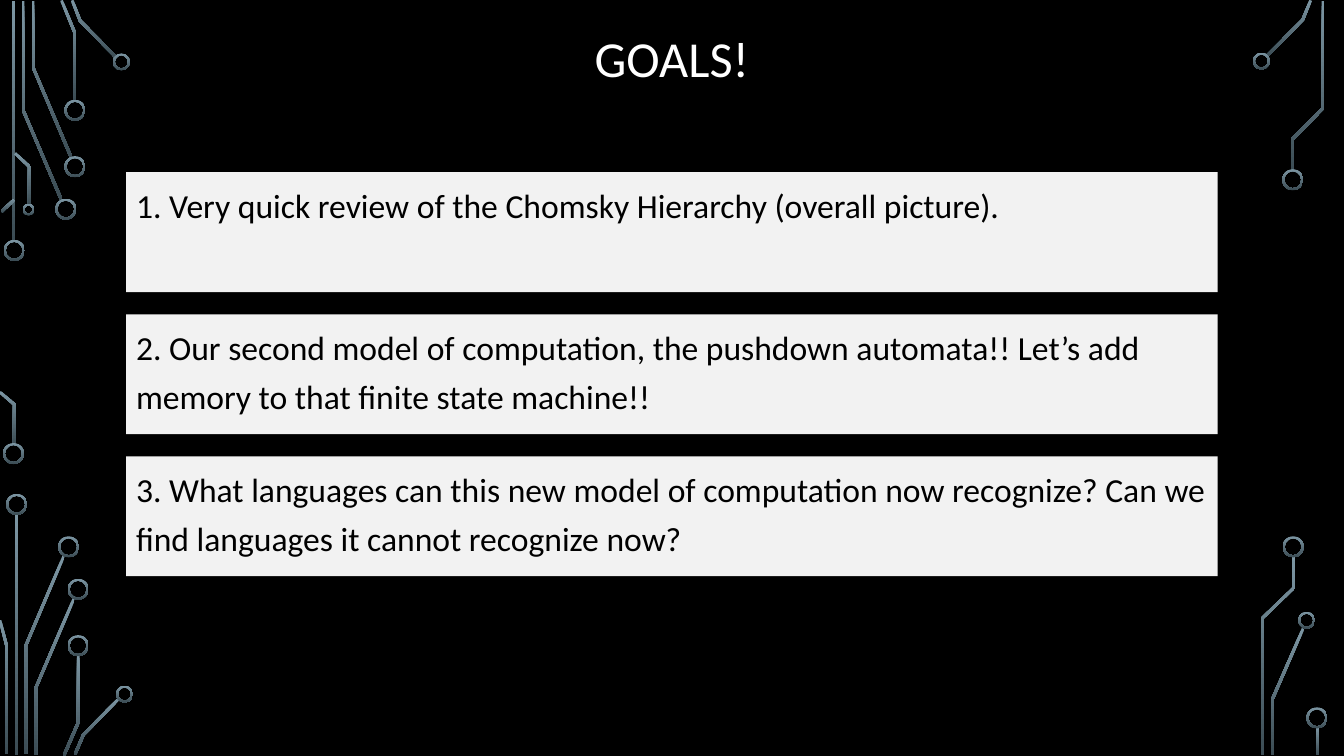
from math import hypot
from typing import NamedTuple

from pptx import Presentation
from pptx.dml.color import RGBColor
from pptx.enum.shapes import MSO_SHAPE
from pptx.enum.text import MSO_ANCHOR, PP_ALIGN
from pptx.util import Cm, Pt

WIDE, TALL = 33.87, 19.05
LINE = 0.07  # width of a trace
RIM = 0.05  # width of a ring's rim
BIG, MID, TINY = 0.53, 0.43, 0.3  # ring sizes

Point = tuple[float, float]


class Ring(NamedTuple):
    x: float
    y: float
    size: float = BIG


class Box(NamedTuple):
    x: float
    y: float
    w: float
    h: float


class Style(NamedTuple):
    font: dict
    para: dict
    frame: dict
    ink: str


HEAD = Style(
    font={"name": "Calibri", "size": Pt(36)},
    para={"alignment": PP_ALIGN.CENTER, "line_spacing": 0.9},
    frame={"word_wrap": True, "vertical_anchor": MSO_ANCHOR.MIDDLE},
    ink="FFFFFF",
)
BODY = Style(
    font={"name": "Calibri", "size": Pt(24)},
    para={"alignment": PP_ALIGN.LEFT, "line_spacing": 1.2, "space_before": Pt(10)},
    frame={"word_wrap": True, "vertical_anchor": MSO_ANCHOR.TOP},
    ink="000000",
)

GOALS = [
    "1. Very quick review of the Chomsky Hierarchy (overall picture).",
    "2. Our second model of computation, the pushdown automata!! "
    "Let’s add memory to that finite state machine!!",
    "3. What languages can this new model of computation now recognize? "
    "Can we find languages it cannot recognize now?",
]
TITLE = Box(3.18, 0.36, 27.51, 2.39)
FIRST = Box(3.18, 4.34, 27.51, 3.02)
PITCH = 3.58

# Centre lines of the circuit traces
TRACES: list[list[Point]] = [
    # top left
    [(0.34, 0.03), (0.34, 6.1)],
    [(0.58, 0.03), (0.58, 2.77), (1.55, 5.04)],
    [(0.83, 0.03), (0.83, 1.69), (1.8, 3.98)],
    [(1.55, 0.01), (1.89, 0.84), (1.89, 2.54)],
    [(1.82, 0.01), (2.02, 0.52), (2.93, 1.45)],
    [(0.04, 5.33), (0.36, 5.03)],
    [(0.38, 3.86), (0.74, 4.2), (0.74, 5.16)],
    [(0, 9.88), (0.36, 10.19), (0.36, 11.2)],
    # bottom left
    [(0.42, 12.95), (0.42, 19.02)],
    [(0.65, 19), (0.65, 16.27), (1.61, 14.01)],
    [(0, 15.63), (0.17, 16.28), (0.17, 19)],
    [(0.9, 19.02), (0.9, 17.34), (1.87, 15.07)],
    [(1.61, 19.04), (1.97, 18.21), (1.97, 16.51)],
    [(1.89, 19.01), (2.1, 18.52), (3, 17.6)],
    # top right
    [(33.03, 0.01), (32.83, 0.5), (31.93, 1.41)],
    [(33.34, 0.03), (33.34, 2.73), (32.56, 3.52), (32.56, 4.29)],
    # bottom right
    [(32.07, 19.02), (32.07, 17.61), (32.84, 15.84)],
    [(31.81, 19.02), (31.81, 15.58), (32.6, 14.82), (32.6, 14.02)],
    [(33.21, 18.31), (33.21, 19.02)],
]

RINGS = [
    Ring(0.36, 6.31), Ring(0.34, 11.43), Ring(1.66, 5.27), Ring(1.89, 4.2),
    Ring(1.89, 2.78), Ring(3.06, 1.56, MID), Ring(0.72, 5.28, TINY),
    Ring(0.42, 12.71), Ring(1.73, 13.78), Ring(1.97, 14.85),
    Ring(1.97, 16.27), Ring(3.14, 17.49, MID),
    Ring(31.79, 1.54, MID), Ring(32.58, 4.53),
    Ring(32.93, 15.63, MID), Ring(32.59, 13.78), Ring(33.19, 18.09),
]


def tint(code: str) -> RGBColor:
    return RGBColor.from_string(code)


def apply(target, values: dict) -> None:
    for name, value in values.items():
        setattr(target, name, value)


def shade(shape) -> None:
    """Fill from light at the top to dark at the bottom, with no line."""
    shape.shadow.inherit = False
    shape.line.fill.background()
    shape.fill.gradient()
    shape.fill.gradient_angle = 270
    for stop, code in zip(shape.fill.gradient_stops, ("7C96A3", "3B4C54")):
        stop.color.rgb = tint(code)


def edge(line: list[Point], half: float) -> list[Point]:
    """Shift a line sideways by half, with mitred corners."""
    norms = []
    for (ax, ay), (bx, by) in zip(line, line[1:]):
        span = hypot(bx - ax, by - ay)
        norms.append(((ay - by) / span, (bx - ax) / span))
    side = []
    for (x, y), (px, py), (qx, qy) in zip(line, norms[:1] + norms, norms + norms[-1:]):
        gain = half / (1 + px * qx + py * qy)
        side.append((x + gain * (px + qx), y + gain * (py + qy)))
    return side


def trace(slide, line: list[Point]) -> None:
    rim = edge(line, LINE / 2) + edge(line, -LINE / 2)[::-1]
    start, *rest = [(Cm(x), Cm(y)) for x, y in rim]
    pen = slide.shapes.build_freeform(*start)
    pen.add_line_segments(rest, close=True)
    shade(pen.convert_to_shape())


def ring(slide, item: Ring) -> None:
    x, y, size = item
    shape = slide.shapes.add_shape(
        MSO_SHAPE.DONUT, Cm(x - size / 2), Cm(y - size / 2), Cm(size), Cm(size)
    )
    shape.adjustments[0] = RIM / size
    shade(shape)


def write(shape, text: str, style: Style) -> None:
    frame = shape.text_frame
    apply(frame, style.frame)
    para = frame.paragraphs[0]
    apply(para, style.para)
    run = para.add_run()
    run.text = text
    apply(run.font, style.font)
    run.font.color.rgb = tint(style.ink)


def panel(slide, box: Box, text: str) -> None:
    shape = slide.shapes.add_shape(MSO_SHAPE.RECTANGLE, *map(Cm, box))
    shape.shadow.inherit = False
    shape.fill.solid()
    shape.fill.fore_color.rgb = tint("F2F2F2")
    shape.line.fill.background()
    write(shape, text, BODY)


def main() -> None:
    deck = Presentation()
    deck.slide_width, deck.slide_height = Cm(WIDE), Cm(TALL)
    slide = deck.slides.add_slide(deck.slide_layouts[6])
    back = slide.background.fill
    back.solid()
    back.fore_color.rgb = tint("000000")

    # Circuit decoration
    for line in TRACES:
        trace(slide, line)
    for item in RINGS:
        ring(slide, item)

    # Title and goals
    write(slide.shapes.add_textbox(*map(Cm, TITLE)), "GOALS!", HEAD)
    for row, goal in enumerate(GOALS):
        panel(slide, FIRST._replace(y=FIRST.y + row * PITCH), goal)

    deck.save("out.pptx")


if __name__ == "__main__":
    main()
